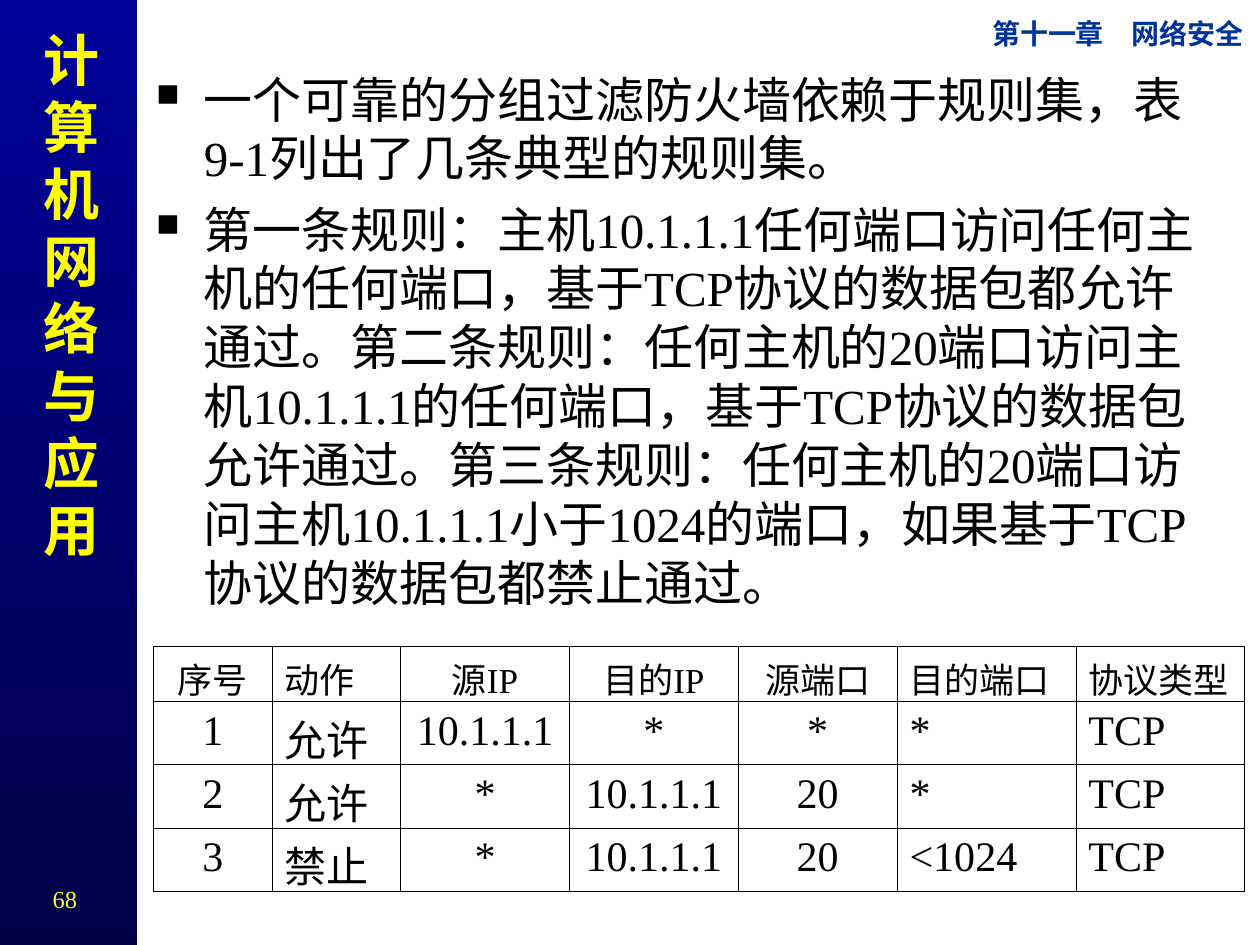
import pptx
import pptx.dml.color
import pptx.enum.lang
import pptx.enum.shapes
import pptx.enum.text
import pptx.oxml
import pptx.oxml.ns
import pptx.util
from lxml import etree

Inches = pptx.util.Inches
Pt = pptx.util.Pt
RGB = pptx.dml.color.RGBColor.from_string
ALIGN = pptx.enum.text.PP_ALIGN

COURSE = "计算机网络与应用"
CHAPTER = "第十一章　网络安全"
PAGE = "68"
POINTS = [
    "一个可靠的分组过滤防火墙依赖于规则集，表9-1列出了几条典型的规则集。",
    "第一条规则：主机10.1.1.1任何端口访问任何主机的任何端口，基于TCP协议的数据包都允许通过。"
    "第二条规则：任何主机的20端口访问主机10.1.1.1的任何端口，基于TCP协议的数据包允许通过。"
    "第三条规则：任何主机的20端口访问主机10.1.1.1小于1024的端口，如果基于TCP协议的数据包都禁止通过。",
]
COLUMNS = [
    ("序号", 0.94, ALIGN.CENTER),
    ("动作", 1.02, ALIGN.LEFT),
    ("源IP", 1.34, ALIGN.CENTER),
    ("目的IP", 1.34, ALIGN.CENTER),
    ("源端口", 1.26, ALIGN.CENTER),
    ("目的端口", 1.42, ALIGN.LEFT),
    ("协议类型", 1.34, ALIGN.LEFT),
]
RULES = [
    ("1", "允许", "10.1.1.1", "*", "*", "*", "TCP"),
    ("2", "允许", "*", "10.1.1.1", "20", "*", "TCP"),
    ("3", "禁止", "*", "10.1.1.1", "20", "<1024", "TCP"),
]
HEADER_HEIGHT, RULE_HEIGHT = 0.44, 0.5
HANGING = 0.38
PADDING = (0.1, 0.05, 0.1, 0.05)

THEME = {
    "font": "Times New Roman",
    "ink": "000000",
    "paper": "FFFFFF",
    "band": ("000099", "000046"),
    "accent": "FFFF00",
    "chapter": "003399",
    "course_size": 32,
    "chapter_size": 16,
    "body_size": 28,
    "header_size": 20,
    "rule_size": 24,
    "page_size": 14,
    "border": 0.45,
}


def apply(target, values):
    for attribute, value in values.items():
        setattr(target, attribute, value)


def write(paragraph, text, size, color, align=ALIGN.LEFT, bold=False):
    run = paragraph.add_run()
    run.text = text
    paragraph.alignment = align
    apply(run.font, {
        "name": THEME["font"],
        "size": Pt(size),
        "bold": bold,
        "language_id": pptx.enum.lang.MSO_LANGUAGE_ID.SIMPLIFIED_CHINESE,
    })
    run.font.color.rgb = RGB(color)


def set_hanging(paragraph):
    properties = paragraph._p.get_or_add_pPr()
    properties.set("marL", str(Inches(HANGING)))
    properties.set("indent", str(-Inches(HANGING)))
    return properties


def add_bullet(paragraph):
    properties = set_hanging(paragraph)
    color = etree.SubElement(properties, pptx.oxml.ns.qn("a:buClr"))
    etree.SubElement(color, pptx.oxml.ns.qn("a:srgbClr"), val=THEME["ink"])
    etree.SubElement(properties, pptx.oxml.ns.qn("a:buSzPct"), val="65000")
    etree.SubElement(properties, pptx.oxml.ns.qn("a:buChar"), char="■")


def add_borders(cell):
    properties = cell._tc.get_or_add_tcPr()
    for position, side in enumerate(("lnL", "lnR", "lnT", "lnB")):
        properties.insert(position, pptx.oxml.parse_xml(
            f'<a:{side} {pptx.oxml.ns.nsdecls("a")} w="{Pt(THEME["border"])}">'
            f'<a:solidFill><a:srgbClr val="{THEME["ink"]}"/></a:solidFill></a:{side}>'
        ))


def add_text_frame(slide, box, padding=PADDING):
    frame = slide.shapes.add_textbox(*map(Inches, box)).text_frame
    margins = ("margin_left", "margin_top", "margin_right", "margin_bottom")
    apply(frame, {"word_wrap": True, **dict(zip(margins, map(Inches, padding)))})
    return frame


def add_band(slide):
    band = slide.shapes.add_shape(
        pptx.enum.shapes.MSO_SHAPE.RECTANGLE, *map(Inches, (-0.02, 0, 1.11, 7.52)))
    band.shadow.inherit = False
    band.line.fill.background()
    band.fill.gradient()
    band.fill.gradient_angle = 270
    for position, (stop, color) in enumerate(zip(band.fill.gradient_stops, THEME["band"])):
        stop.color.rgb = RGB(color)
        stop.position = position


def add_points(slide):
    frame = add_text_frame(slide, (1.14, 0.5, 8.66, 4.43))
    for index, point in enumerate(POINTS):
        paragraph = frame.add_paragraph() if index else frame.paragraphs[0]
        write(paragraph, point, THEME["body_size"], THEME["ink"])
        paragraph.space_before = Pt(7)
        add_bullet(paragraph)


def add_rules(slide):
    headers, widths, aligns = zip(*COLUMNS)
    rows = [headers, *RULES]
    heights = [HEADER_HEIGHT] + [RULE_HEIGHT] * len(RULES)
    rules = slide.shapes.add_table(
        len(rows), len(COLUMNS),
        *map(Inches, (1.22, 5.13, sum(widths), sum(heights)))).table
    apply(rules, {"first_row": False, "horz_banding": False})
    for column, width in zip(rules.columns, widths):
        column.width = Inches(width)
    for row, height, texts in zip(rules.rows, heights, rows):
        row.height = Inches(height)
        size = THEME["header_size" if texts is headers else "rule_size"]
        for cell, text, align in zip(row.cells, texts, aligns):
            cell.fill.background()
            add_borders(cell)
            paragraph = cell.text_frame.paragraphs[0]
            write(paragraph, text, size, THEME["ink"], align)
            set_hanging(paragraph)


def main():
    deck = pptx.Presentation()
    apply(deck, {"slide_width": Inches(10), "slide_height": Inches(7.5)})
    slide = deck.slides.add_slide(deck.slide_layouts[6])
    slide.background.fill.solid()
    slide.background.fill.fore_color.rgb = RGB(THEME["paper"])

    add_band(slide)
    course = add_text_frame(slide, (0.14, 0.15, 0.75, 4.37))
    write(course.paragraphs[0], COURSE, THEME["course_size"], THEME["accent"], ALIGN.RIGHT, True)
    chapter = add_text_frame(slide, (7.53, 0.13, 2.34, 0.27), (0, 0, 0, 0))
    write(chapter.paragraphs[0], CHAPTER, THEME["chapter_size"], THEME["chapter"], ALIGN.RIGHT, True)
    add_points(slide)
    add_rules(slide)
    page = add_text_frame(slide, (0.22, 6.97, 0.59, 0.34))
    write(page.paragraphs[0], PAGE, THEME["page_size"], THEME["accent"], ALIGN.CENTER)

    deck.save("out.pptx")


if __name__ == "__main__":
    main()
